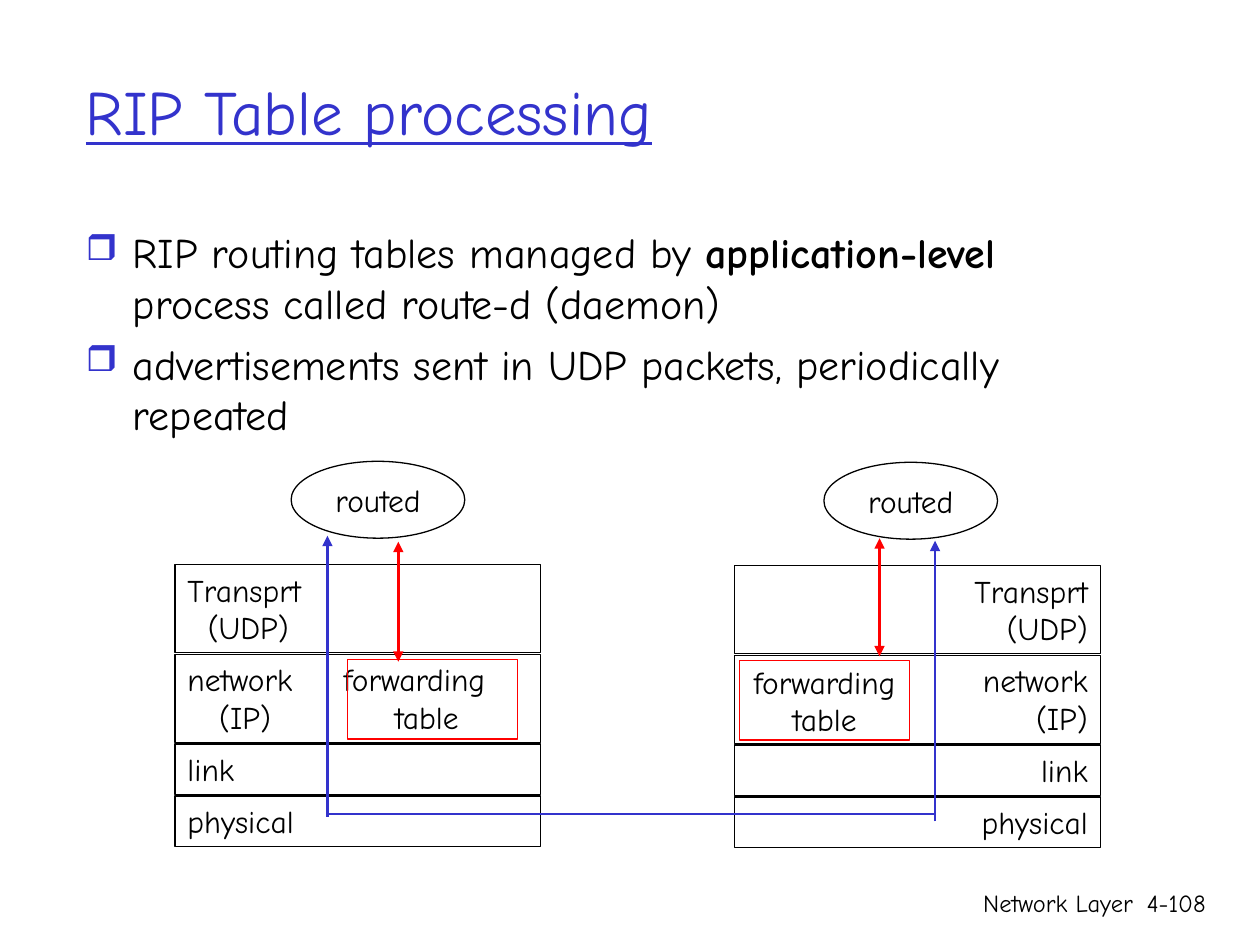
from dataclasses import dataclass
from lxml.etree import SubElement
from pptx import Presentation
from pptx.dml.color import RGBColor
from pptx.enum.shapes import MSO_CONNECTOR, MSO_SHAPE
from pptx.enum.text import MSO_ANCHOR, PP_ALIGN
from pptx.oxml.ns import qn
from pptx.util import Cm, Pt


@dataclass(frozen=True)
class Theme:
    font: str = "Comic Neue"
    ink: str = "000000"
    blue: str = "3333CC"
    red: str = "FF0000"
    title: int = 36
    body: int = 24
    label: int = 18
    footer: int = 14
    outline: float = 0.75
    arrow: float = 1.5


THEME = Theme()

TITLE = "RIP Table processing"
POINTS = [
    [("RIP routing tables managed by ", False), ("application-level", True),
     (" process called route-d (daemon)", False)],
    [("advertisements sent in UDP packets, periodically repeated", False)],
]
FOOTERS = [("Network Layer", 15.04, 8.05), ("4-108", 22.68, 1.88)]

LAYER_HEIGHTS = [1.78, 1.78, 1.02, 1.02]
LAYER_GAP = 0.03
STACK_WIDTH = 7.37
PROCESS = "routed"
TABLE_LABEL = ["forwarding", "table"]
HOSTS = [
    {"left": 3.53, "top": 11.38, "align": PP_ALIGN.LEFT,
     "layers": [[("Transprt", []), ("\t(UDP)", [0.41])],
                [("network\tforwarding", [3.15]), ("\t(IP)\ttable", [0.64, 4.18])],
                [("link", [])], [("physical", [])]],
     "process_left": 5.87, "table_left": 7.01, "table_label": [],
     "update": (6.6, 16.46, 10.8), "lookup": (8.03, 10.92, 13.34)},
    {"left": 14.81, "top": 11.4, "align": PP_ALIGN.RIGHT,
     "layers": [[("Transprt", []), ("(UDP)", [])],
                [("network", []), ("(IP)", [])],
                [("link", [])], [("physical", [])]],
     "process_left": 16.61, "table_left": 14.91, "table_label": TABLE_LABEL,
     "update": (18.85, 16.56, 10.9), "lookup": (17.73, 10.85, 13.23)},
]
WIRE_Y = 16.41


def set_font(paragraph, size, color=THEME.ink):
    paragraph.font.name = THEME.font
    paragraph.font.size = Pt(size)
    paragraph.font.color.rgb = RGBColor.from_string(color)


def add_tabs(paragraph, stops):
    if stops:
        tab_list = SubElement(paragraph._p.get_or_add_pPr(), qn("a:tabLst"))
        for stop in stops:
            SubElement(tab_list, qn("a:tab"), pos=str(Cm(stop)), algn="l")


def add_bullet(paragraph):
    properties = paragraph._p.get_or_add_pPr()
    properties.set("marL", str(Cm(0.95)))
    properties.set("indent", str(Cm(-0.95)))
    bullet_color = SubElement(properties, qn("a:buClr"))
    SubElement(bullet_color, qn("a:srgbClr"), val=THEME.blue)
    SubElement(properties, qn("a:buSzPct"), val="85000")
    SubElement(properties, qn("a:buChar"), char="❒")


def paragraphs_for(frame, items):
    for index, item in enumerate(items):
        yield (frame.add_paragraph() if index else frame.paragraphs[0]), item


def add_text(slide, left, top, width, height):
    frame = slide.shapes.add_textbox(Cm(left), Cm(top), Cm(width), Cm(height)).text_frame
    frame.word_wrap = True
    return frame


def add_outline(slide, kind, left, top, width, height, color, lines=(),
                align=PP_ALIGN.CENTER, anchor=MSO_ANCHOR.MIDDLE, wrap=False):
    shape = slide.shapes.add_shape(kind, Cm(left), Cm(top), Cm(width), Cm(height))
    shape.shadow.inherit = False
    shape.fill.background()
    shape.line.color.rgb = RGBColor.from_string(color)
    shape.line.width = Pt(THEME.outline)
    frame = shape.text_frame
    frame.word_wrap = wrap
    frame.vertical_anchor = anchor
    for paragraph, (text, stops) in paragraphs_for(frame, lines):
        paragraph.text = text
        paragraph.alignment = align
        add_tabs(paragraph, stops)
        set_font(paragraph, THEME.label)


def add_line(slide, start, end, color, arrowheads=()):
    line = slide.shapes.add_connector(
        MSO_CONNECTOR.STRAIGHT, *(Cm(value) for value in (*start, *end)))
    line.line.color.rgb = RGBColor.from_string(color)
    line.line.width = Pt(THEME.arrow)
    for arrowhead in arrowheads:
        SubElement(line.line._get_or_add_ln(), qn(f"a:{arrowhead}"), type="triangle")
    SubElement(line._element.spPr, qn("a:effectLst"))


def add_host(slide, host):
    top = host["top"]
    for lines, height in zip(host["layers"], LAYER_HEIGHTS):
        add_outline(slide, MSO_SHAPE.RECTANGLE, host["left"], top, STACK_WIDTH, height,
                    THEME.ink, lines, host["align"], MSO_ANCHOR.TOP, True)
        top += height + LAYER_GAP
    add_outline(slide, MSO_SHAPE.RECTANGLE, host["table_left"], host["top"] + 1.92,
                3.43, 1.6, THEME.red, [(text, []) for text in host["table_label"]])
    add_outline(slide, MSO_SHAPE.OVAL, host["process_left"], host["top"] - 2.08,
                3.5, 1.55, THEME.ink, [(PROCESS, [])])
    x, start, end = host["update"]
    add_line(slide, (x, start), (x, end), THEME.blue, ["tailEnd"])
    x, start, end = host["lookup"]
    add_line(slide, (x, start), (x, end), THEME.red, ["headEnd", "tailEnd"])


def main():
    """Build the slide on RIP table processing."""
    deck = Presentation()
    deck.slide_width, deck.slide_height = Cm(25.4), Cm(19.05)
    slide = deck.slides.add_slide(deck.slide_layouts[6])

    for text, left, width in FOOTERS:
        footer = add_text(slide, left, 17.78, width, 1.27).paragraphs[0]
        footer.text = text
        footer.alignment = PP_ALIGN.RIGHT
        set_font(footer, THEME.footer)

    title_frame = add_text(slide, 1.48, 0.64, 21.59, 3.18)
    title_frame.vertical_anchor = MSO_ANCHOR.MIDDLE
    title = title_frame.paragraphs[0]
    title.text = TITLE
    set_font(title, THEME.title, THEME.blue)
    title.font.underline = True

    body = add_text(slide, 1.48, 4.45, 21.59, 12.9)
    for paragraph, runs in paragraphs_for(body, POINTS):
        if runs is not POINTS[0]:
            paragraph.space_before = Pt(6)
        add_bullet(paragraph)
        set_font(paragraph, THEME.body)
        for text, bold in runs:
            run = paragraph.add_run()
            run.text = text
            if bold:
                run.font.bold = True

    for host in HOSTS:
        add_host(slide, host)
    wire_ends = [(host["update"][0], WIRE_Y) for host in HOSTS]
    add_line(slide, *wire_ends, THEME.blue)

    deck.save("out.pptx")


if __name__ == "__main__":
    main()
